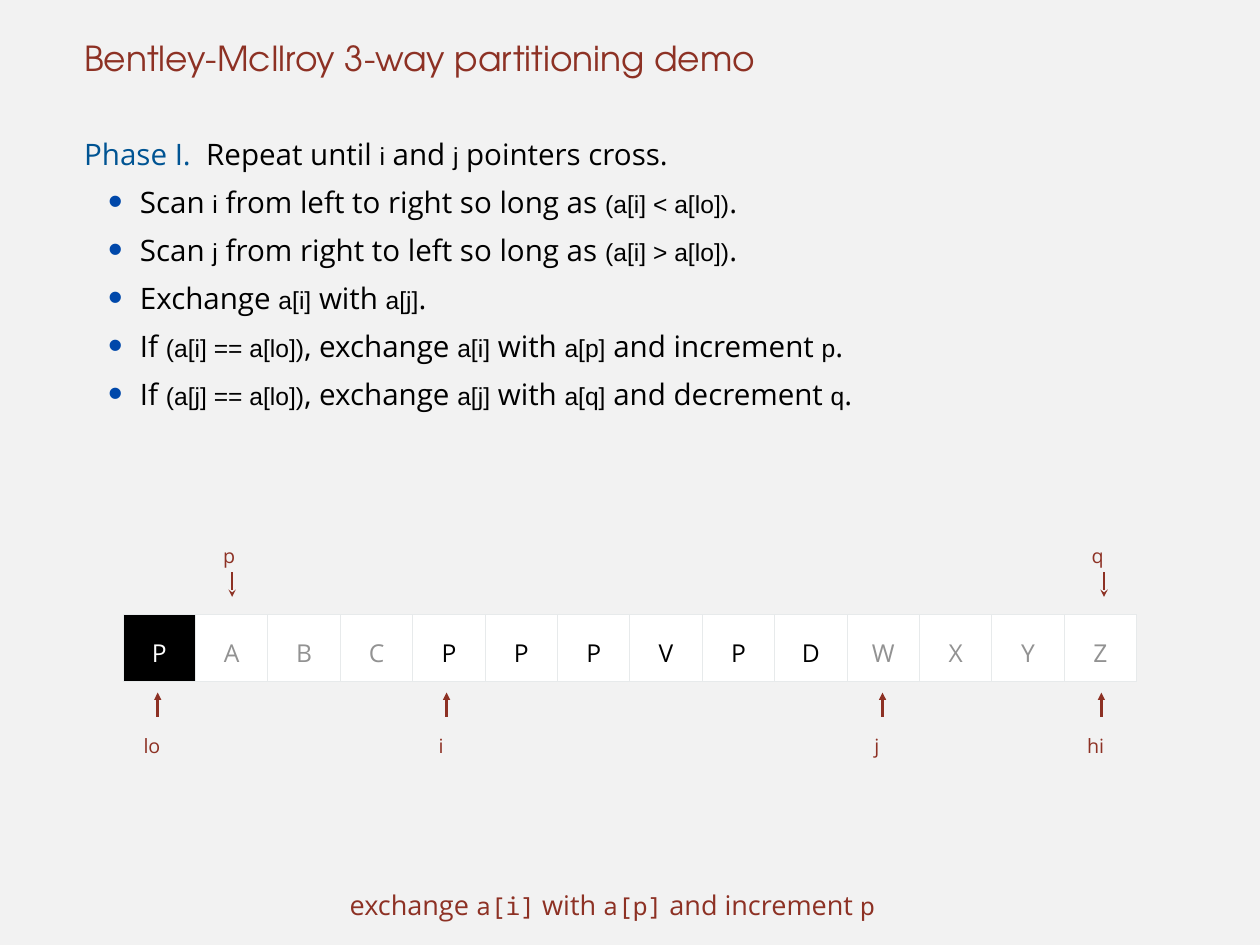
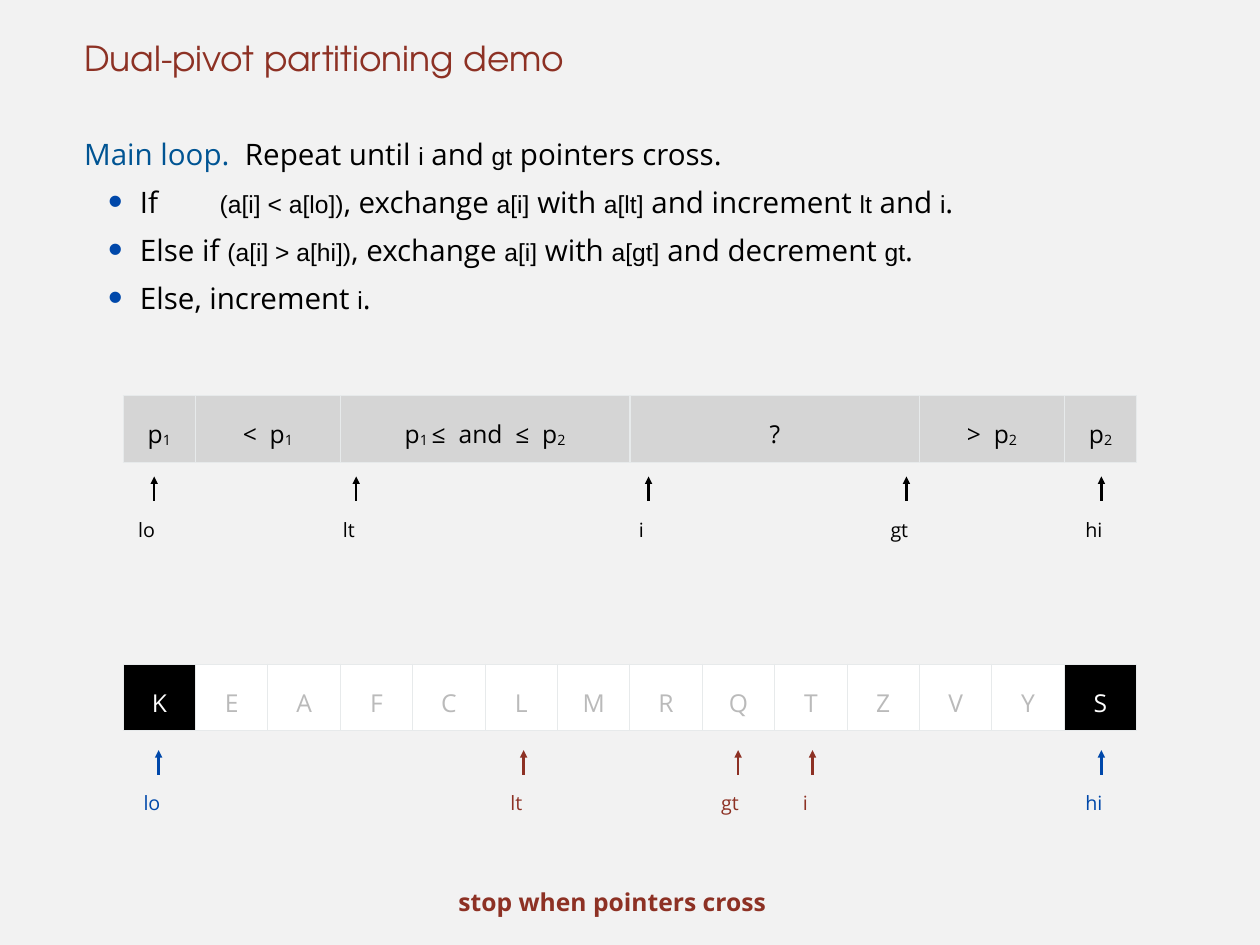
from pptx import Presentation
from pptx.dml.color import RGBColor
from pptx.enum.shapes import MSO_CONNECTOR
from pptx.enum.text import MSO_ANCHOR, MSO_AUTO_SIZE, PP_ALIGN
from pptx.oxml.ns import qn
from pptx.util import Inches, Pt
from lxml.etree import SubElement

PAPER = RGBColor(0xF2, 0xF2, 0xF2)
RED = RGBColor(0x8D, 0x31, 0x24)
BLUE = RGBColor(0x00, 0x48, 0xAA)
TEAL = RGBColor(0x00, 0x54, 0x93)
BLACK = RGBColor(0, 0, 0)
WHITE = RGBColor(0xFF, 0xFF, 0xFF)
GRAY = RGBColor(0x92, 0x92, 0x92)
PALE = RGBColor(0xBA, 0xBA, 0xBA)
SILVER = RGBColor(0xD5, 0xD5, 0xD5)
RULE = RGBColor(0xE7, 0xEA, 0xEB)

SANS, HEAD, CODE, MONO = "Open Sans", "TeX Gyre Adventor", "Arial", "Noto Sans Mono"
LEFT, WIDE, HIGH, UNITS = 1.39, 11.44, 0.75, 14
WIDTHS = {"lo": 0.39, "hi": 0.39, "i": 0.25, "j": 0.26, "lt": 0.34, "gt": 0.41, "p": 0.33, "q": 0.33}


def write(frame, text, size=20, font=SANS, color=BLACK, bold=False, align=PP_ALIGN.LEFT,
          space=1.5, lead="", code=CODE, sub=False, bullet=False, more=False, margin=0):
    """Write one paragraph; parts between backticks are code, or subscripts if sub is set."""
    frame.margin_left = frame.margin_right = Inches(margin)
    frame.margin_top = frame.margin_bottom = Inches(margin)
    para = frame.add_paragraph() if more else frame.paragraphs[0]
    para.alignment, para.line_spacing = align, space
    para.space_before = para.space_after = Pt(0)
    inset = 0.69 if bullet else 0 if align == PP_ALIGN.CENTER else 0.06
    props = para._p.get_or_add_pPr()
    props.set("marL", str(Inches(inset)))
    props.set("indent", str(Inches(-0.36 if bullet else 0)))
    if bullet:
        tint = SubElement(SubElement(props, qn("a:buClr")), qn("a:srgbClr"))
        tint.set("val", str(BLUE))
        SubElement(props, qn("a:buSzPct")).set("val", "140000")
        SubElement(props, qn("a:buFont")).set("typeface", CODE)
        SubElement(props, qn("a:buChar")).set("char", "•")
        if "\t" in text:
            stop = SubElement(SubElement(props, qn("a:tabLst")), qn("a:tab"))
            stop.set("pos", str(Inches(1.59)))
            stop.set("algn", "l")
    parts = [(lead, TEAL, False)]
    parts += [(part, color, n % 2 == 1) for n, part in enumerate(text.split("`"))]
    for part, tone, marked in parts:
        if not part:
            continue
        run = para.add_run()
        run.text = part
        coded = marked and not sub
        run.font.name = code if coded else font
        run.font.size = Pt(20 if coded else size)
        run.font.bold, run.font.color.rgb = bold, tone
        if marked and sub:
            run._r.get_or_add_rPr().set("baseline", "-6000")


def point(slide, name, left, x, top, color, drop=0.33, down=False):
    """Draw an arrow and the label of an array pointer."""
    line = slide.shapes.add_connector(
        MSO_CONNECTOR.STRAIGHT, Inches(x), Inches(top), Inches(x), Inches(top + 0.28))
    line.line.color.rgb, line.line.width = color, Pt(2)
    tip = SubElement(line.line._get_or_add_ln(), qn("a:tailEnd" if down else "a:headEnd"))
    tip.set("type", "stealth" if down else "triangle")
    SubElement(line._element.spPr, qn("a:effectLst"))
    box = slide.shapes.add_textbox(
        Inches(left), Inches(top + drop), Inches(WIDTHS[name]), Inches(0.36))
    box.text_frame.word_wrap = False
    box.text_frame.auto_size = MSO_AUTO_SIZE.SHAPE_TO_FIT_TEXT
    write(box.text_frame, name, size=16, color=color)


# Content: cells are (text, span, ink, fill); pointers are (name, label left, arrow x, color)
letters = [("P", 1, WHITE, BLACK)]
letters += [(c, 1, GRAY if c in "ABCWXYZ" else BLACK, WHITE) for c in "ABCPPPVPDWXYZ"]
keys = [(c, 1, WHITE, BLACK) if c in "KS" else (c, 1, PALE, WHITE) for c in "KEAFCLMRQTZVYS"]
zones = [(text, span, BLACK, SILVER) for text, span in [
    ("p`1`", 1), ("<  p`1`", 2), ("p`1 `≤  and  ≤  p`2`", 4), ("?", 4), (">  p`2`", 2), ("p`2`", 1)]]

pages = [
    dict(title="Bentley-McIlroy 3-way partitioning demo",
         lead="Phase I.  ", intro="Repeat until `i` and `j` pointers cross.",
         steps=["Scan `i` from left to right so long as `(a[i] < a[lo])`.",
                "Scan `j` from right to left so long as `(a[i] > a[lo])`.",
                "Exchange `a[i]` with `a[j]`.",
                "If `(a[i] == a[lo])`, exchange `a[i]` with `a[p]` and increment `p`.",
                "If `(a[j] == a[lo])`, exchange `a[j]` with `a[q]` and decrement `q`."],
         bars=[(6.94, letters)],
         below=[(7.82, [("lo", 1.56, 1.78, RED), ("i", 4.89, 5.04, RED),
                        ("j", 9.81, 9.96, RED), ("hi", 12.21, 12.43, RED)])],
         above=[("p", 2.46, 2.62, RED), ("q", 12.26, 12.46, RED)],
         note="exchange `a[i]` with `a[p]` and increment `p`", look=dict(size=22)),
    dict(title="Dual-pivot partitioning demo",
         lead="Main loop.  ", intro="Repeat until `i` and `gt` pointers cross.",
         steps=["If\t`(a[i] < a[lo])`, exchange `a[i]` with `a[lt]` and increment `lt` and `i`.",
                "Else if `(a[i] > a[hi])`, exchange `a[i]` with `a[gt]` and decrement `gt`.",
                "Else, increment `i`."],
         bars=[(7.5, keys), (4.47, zones)],
         below=[(5.38, [("lo", 1.5, 1.74, BLACK), ("lt", 3.81, 4.02, BLACK),
                        ("i", 7.15, 7.32, BLACK), ("gt", 9.99, 10.23, BLACK),
                        ("hi", 12.19, 12.43, BLACK)]),
                (8.47, [("lo", 1.56, 1.79, BLUE), ("lt", 5.7, 5.91, RED),
                        ("gt", 8.08, 8.33, RED), ("i", 9, 9.17, RED),
                        ("hi", 12.19, 12.43, BLUE)])],
         above=[], note="stop when pointers cross", look=dict(size=20, bold=True)),
]

deck = Presentation()
deck.slide_width, deck.slide_height = Inches(14.22), Inches(10.67)
deck.slide_master.background.fill.solid()
deck.slide_master.background.fill.fore_color.rgb = PAPER

for page in pages:
    slide = deck.slides.add_slide(deck.slide_layouts[5])

    # Title
    title = slide.shapes.title
    title.left, title.top = Inches(0.89), Inches(0)
    title.width, title.height = Inches(12.44), Inches(0.89)
    title.text_frame.vertical_anchor = MSO_ANCHOR.BOTTOM
    title.text_frame.auto_size = MSO_AUTO_SIZE.NONE
    write(title.text_frame, page["title"], size=28, font=HEAD, color=RED, space=Pt(59))

    # Steps of the algorithm
    body = slide.shapes.add_textbox(Inches(0.89), Inches(1.39), Inches(12.44), Inches(8.89))
    body.text_frame.word_wrap = True
    write(body.text_frame, page["intro"], lead=page["lead"], size=24, space=Pt(39))
    for step in page["steps"]:
        write(body.text_frame, step, size=24, space=Pt(39), bullet=True, more=True)

    # Array bars
    for top, cells in page["bars"]:
        grid = slide.shapes.add_table(
            1, len(cells), Inches(LEFT), Inches(top), Inches(WIDE), Inches(HIGH)).table
        grid.first_row = grid.horz_banding = False
        for n, (text, span, ink, fill) in enumerate(cells):
            grid.columns[n].width = Inches(WIDE * span / UNITS)
            cell = grid.cell(0, n)
            props = cell._tc.get_or_add_tcPr()
            for side in ("a:lnL", "a:lnR", "a:lnT", "a:lnB"):
                edge = SubElement(props, qn(side))
                edge.set("w", str(Pt(1)))
                tint = SubElement(SubElement(edge, qn("a:solidFill")), qn("a:srgbClr"))
                tint.set("val", str(RULE))
            cell.fill.solid()
            cell.fill.fore_color.rgb = fill
            cell.vertical_anchor = MSO_ANCHOR.MIDDLE
            cell.margin_left = cell.margin_right = Inches(0.06)
            cell.margin_top = cell.margin_bottom = Inches(0.06)
            write(cell.text_frame, text, color=ink, align=PP_ALIGN.CENTER,
                  space=1.3, sub=True, margin=0.06)

    # Pointers
    for top, marks in page["below"]:
        for name, left, x, color in marks:
            point(slide, name, left, x, top, color)
    for name, left, x, color in page["above"]:
        point(slide, name, left, x, 6.46, color, drop=-0.45, down=True)

    # Note at the foot
    foot = slide.shapes.add_textbox(Inches(0.7), Inches(9.85), Inches(12.42), Inches(0.45))
    foot.text_frame.word_wrap = True
    write(foot.text_frame, page["note"], color=RED, align=PP_ALIGN.CENTER, code=MONO, **page["look"])

deck.save("out.pptx")
